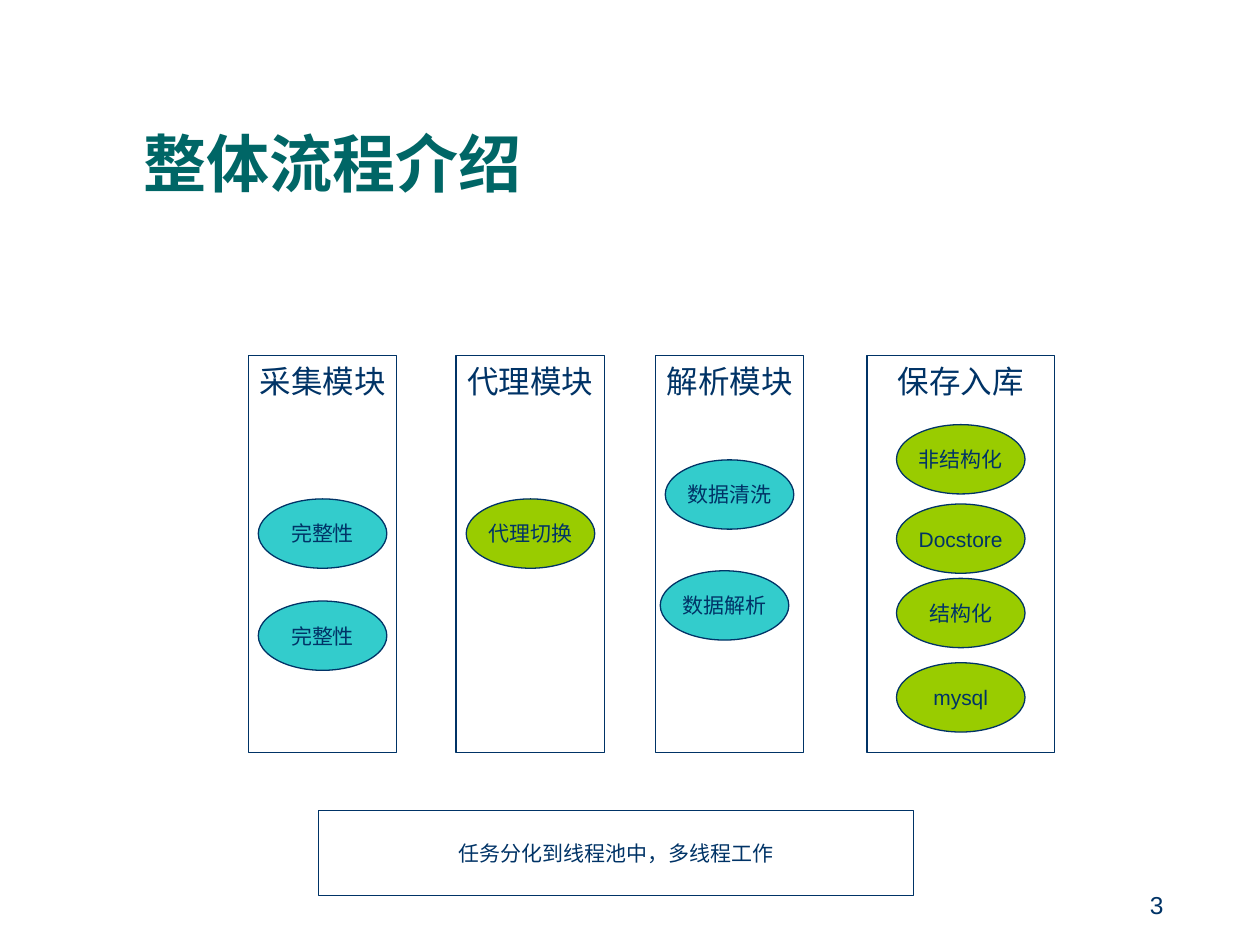
"""Build the overall process slide with its four module columns."""
from dataclasses import dataclass

import pptx
import pptx.dml.color
import pptx.enum.shapes
import pptx.enum.text
import pptx.util

Inches = pptx.util.Inches
Shape = pptx.enum.shapes.MSO_SHAPE
Align = pptx.enum.text.PP_ALIGN
Anchor = pptx.enum.text.MSO_ANCHOR


@dataclass(frozen=True)
class Theme:
    ink: str = "003366"
    title: str = "006666"
    paper: str = "FFFFFF"
    teal: str = "33CCCC"
    green: str = "99CC00"
    body_font: str = "Arial"
    title_font: str = "Times New Roman"
    title_size: int = 36
    heading_size: int = 18
    number_size: int = 14
    label_size: int = 12
    line_width: float = 0.75


THEME = Theme()
COLUMN_TOP, COLUMN_HEIGHT = 2.82, 3.15
STEP_WIDTH, STEP_HEIGHT = 1.02, 0.55

# Each module: heading, left, width, step colour, steps as (label, top, shift from centre).
MODULES = [
    ("采集模块", 1.97, 1.18, THEME.teal, [("完整性", 3.96, 0), ("完整性", 4.77, 0)]),
    ("代理模块", 3.62, 1.18, THEME.green, [("代理切换", 3.96, 0)]),
    ("解析模块", 5.2, 1.18, THEME.teal, [("数据清洗", 3.65, 0), ("数据解析", 4.53, -0.04)]),
    ("保存入库", 6.88, 1.49, THEME.green,
     [("非结构化", 3.37, 0), ("Docstore", 4, 0), ("结构化", 4.59, 0), ("mysql", 5.26, 0)]),
]


def rgb(value):
    return pptx.dml.color.RGBColor.from_string(value)


def write(box, text, size, anchor=Anchor.MIDDLE, align=Align.CENTER,
          font=THEME.body_font, colour=THEME.ink, bold=False, wrap=False):
    frame = box.text_frame
    frame.word_wrap = wrap
    frame.auto_size = pptx.enum.text.MSO_AUTO_SIZE.NONE
    frame.vertical_anchor = anchor
    para = frame.paragraphs[0]
    para.alignment = align
    span = para.add_run()
    span.text = text
    span.font.name = font
    span.font.size = pptx.util.Pt(size)
    span.font.bold = bold
    span.font.color.rgb = rgb(colour)
    return para


def add_title(page, text):
    box = page.shapes.title
    box.left, box.top = Inches(1.04), Inches(0.89)
    box.width, box.height = Inches(8.41), Inches(0.76)
    para = write(box, text, THEME.title_size, Anchor.BOTTOM, Align.LEFT,
                 THEME.title_font, THEME.title, bold=True, wrap=True)
    para.line_spacing = 0.9


def add_page_number(page, number):
    box = page.shapes.add_textbox(Inches(8.86), Inches(6.83), Inches(0.64), Inches(0.52))
    write(box, number, THEME.number_size, Anchor.BOTTOM, wrap=True)


def add_block(page, kind, left, top, width, height, fill, text, size, anchor=Anchor.MIDDLE):
    box = page.shapes.add_shape(kind, Inches(left), Inches(top), Inches(width), Inches(height))
    box.shadow.inherit = False
    box.fill.solid()
    box.fill.fore_color.rgb = rgb(fill)
    box.line.color.rgb = rgb(THEME.ink)
    box.line.width = pptx.util.Pt(THEME.line_width)
    write(box, text, size, anchor)


def add_module(page, heading, left, width, colour, steps):
    add_block(page, Shape.RECTANGLE, left, COLUMN_TOP, width, COLUMN_HEIGHT,
              THEME.paper, heading, THEME.heading_size, Anchor.TOP)
    step_left = left + (width - STEP_WIDTH) / 2
    for label, top, shift in steps:
        add_block(page, Shape.FLOWCHART_CONNECTOR, step_left + shift, top,
                  STEP_WIDTH, STEP_HEIGHT, colour, label, THEME.label_size)


def main():
    deck = pptx.Presentation()
    deck.slide_width, deck.slide_height = Inches(10), Inches(7.5)
    page = deck.slides.add_slide(deck.slide_layouts.get_by_name("Title Only"))
    add_title(page, "整体流程介绍")
    for module in MODULES:
        add_module(page, *module)
    add_block(page, Shape.RECTANGLE, 2.53, 6.43, 4.72, 0.68, THEME.paper,
              "任务分化到线程池中，多线程工作", THEME.label_size)
    add_page_number(page, "3")
    deck.save("out.pptx")


if __name__ == "__main__":
    main()
